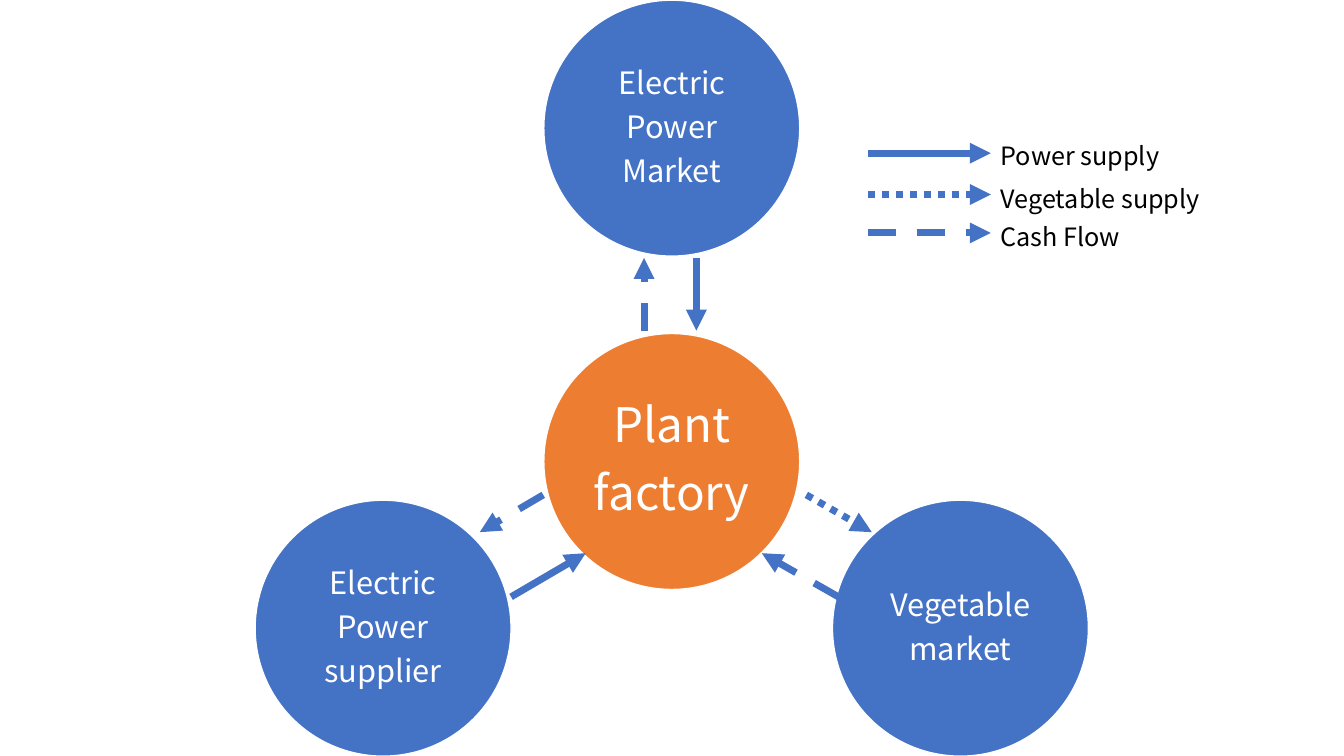
from dataclasses import dataclass
from math import cos, radians, sin
from typing import Optional

from lxml import etree
from pptx import Presentation
from pptx.dml.color import RGBColor
from pptx.enum import dml, shapes, text
from pptx.oxml import ns
from pptx.util import Cm, Pt

COLORS = {"blue": "4472C4", "orange": "ED7D31", "white": "FFFFFF", "black": "000000"}
FONT = "Noto Sans CJK JP"
DIAMETER = 6.45
CENTER_X, CENTER_Y = 16.93, 11.63
ORBIT = 8.4
LEGEND_LEFT, LEGEND_RIGHT = 21.87, 24.97

POWER = None
VEGETABLES = dml.MSO_LINE.ROUND_DOT
CASH = dml.MSO_LINE.DASH


@dataclass
class Party:
    lines: list[str]
    angle: float  # degrees clockwise from the top
    orbit: float = ORBIT
    size: int = 22
    color: str = "blue"


@dataclass
class Flow:
    start: tuple[float, float]
    end: tuple[float, float]
    dash: Optional[dml.MSO_LINE]


@dataclass
class LegendEntry:
    label: str
    dash: Optional[dml.MSO_LINE]
    arrow_y: float
    text_top: float
    text_width: float


PARTIES = [
    Party(["Plant", "factory"], 0, orbit=0, size=34, color="orange"),
    Party(["Electric", "Power", "Market"], 0),
    Party(["Vegetable", "market"], 120),
    Party(["Electric", "Power", "supplier"], 240),
]
FLOWS = [
    Flow((13.69, 12.47), (12.09, 13.41), CASH),
    Flow((16.23, 8.33), (16.23, 6.5), CASH),
    Flow((21.13, 15.04), (19.2, 13.94), CASH),
    Flow((20.32, 12.47), (21.97, 13.41), VEGETABLES),
    Flow((17.55, 6.5), (17.55, 8.33), POWER),
    Flow((12.88, 15.04), (14.76, 13.94), POWER),
]
LEGEND = [
    LegendEntry("Power supply", POWER, 3.86, 3.4, 4.5),
    LegendEntry("Vegetable supply", VEGETABLES, 4.9, 4.5, 5.59),
    LegendEntry("Cash Flow", CASH, 5.87, 5.46, 3.61),
]


def rgb(name: str) -> RGBColor:
    return RGBColor.from_string(COLORS[name])


def set_space_after_percent(paragraph, percent: int) -> None:
    paragraph.space_after = Pt(0)
    space_after = paragraph._p.pPr.find(ns.qn("a:spcAft"))
    space_after.remove(space_after[0])
    etree.SubElement(space_after, ns.qn("a:spcPct"), val=str(percent * 1000))


def write_text(frame, lines: list[str], *, size: int, color: str,
               align=text.PP_ALIGN.LEFT, line_spacing: Optional[float] = None,
               space_after: Optional[int] = None) -> None:
    """Write each line as a paragraph of the text frame."""
    for index, line in enumerate(lines):
        paragraph = frame.add_paragraph() if index else frame.paragraphs[0]
        paragraph.alignment = align
        if line_spacing is not None:
            paragraph.line_spacing = line_spacing
        if space_after is not None:
            set_space_after_percent(paragraph, space_after)
        run = paragraph.add_run()
        run.text = line
        run.font.name = FONT
        run.font.size = Pt(size)
        run.font.color.rgb = rgb(color)
        properties = run._r.get_or_add_rPr()
        etree.SubElement(properties, ns.qn("a:ea"), typeface=FONT)


def draw_party(slide, party: Party) -> None:
    angle = radians(party.angle)
    left = CENTER_X + party.orbit * sin(angle) - DIAMETER / 2
    top = CENTER_Y - party.orbit * cos(angle) - DIAMETER / 2
    circle = slide.shapes.add_shape(shapes.MSO_SHAPE.OVAL, Cm(left), Cm(top),
                                    Cm(DIAMETER), Cm(DIAMETER))
    circle.shadow.inherit = False
    circle.fill.solid()
    circle.fill.fore_color.rgb = rgb(party.color)
    circle.line.color.rgb = rgb("white")
    circle.line.width = Pt(1)
    frame = circle.text_frame
    frame.word_wrap = True
    frame.vertical_anchor = text.MSO_ANCHOR.MIDDLE
    frame.margin_left = frame.margin_right = Cm(0.05)
    frame.margin_top = frame.margin_bottom = Cm(0.05)
    write_text(frame, party.lines, size=party.size, color="white",
               align=text.PP_ALIGN.CENTER, line_spacing=0.9, space_after=35)


def draw_flow(slide, flow: Flow) -> None:
    arrow = slide.shapes.add_connector(
        shapes.MSO_CONNECTOR.STRAIGHT, *map(Cm, flow.start + flow.end))
    arrow.line.color.rgb = rgb("blue")
    arrow.line.width = Pt(5)
    if flow.dash is not None:
        arrow.line.dash_style = flow.dash
    etree.SubElement(arrow.line._get_or_add_ln(), ns.qn("a:tailEnd"), type="triangle")
    etree.SubElement(arrow._element.spPr, ns.qn("a:effectLst"))


def draw_legend_entry(slide, entry: LegendEntry) -> None:
    draw_flow(slide, Flow((LEGEND_LEFT, entry.arrow_y),
                          (LEGEND_RIGHT, entry.arrow_y), entry.dash))
    label = slide.shapes.add_textbox(Cm(LEGEND_RIGHT), Cm(entry.text_top),
                                     Cm(entry.text_width), Cm(1.02))
    label.text_frame.word_wrap = False
    label.text_frame.auto_size = text.MSO_AUTO_SIZE.SHAPE_TO_FIT_TEXT
    write_text(label.text_frame, [entry.label], size=18, color="black")


def main() -> None:
    presentation = Presentation()
    presentation.slide_width = Cm(33.87)
    presentation.slide_height = Cm(19.05)
    slide = presentation.slides.add_slide(presentation.slide_layouts[6])
    for party in PARTIES:
        draw_party(slide, party)
    for flow in FLOWS:
        draw_flow(slide, flow)
    for entry in LEGEND:
        draw_legend_entry(slide, entry)
    presentation.save("out.pptx")


if __name__ == "__main__":
    main()
